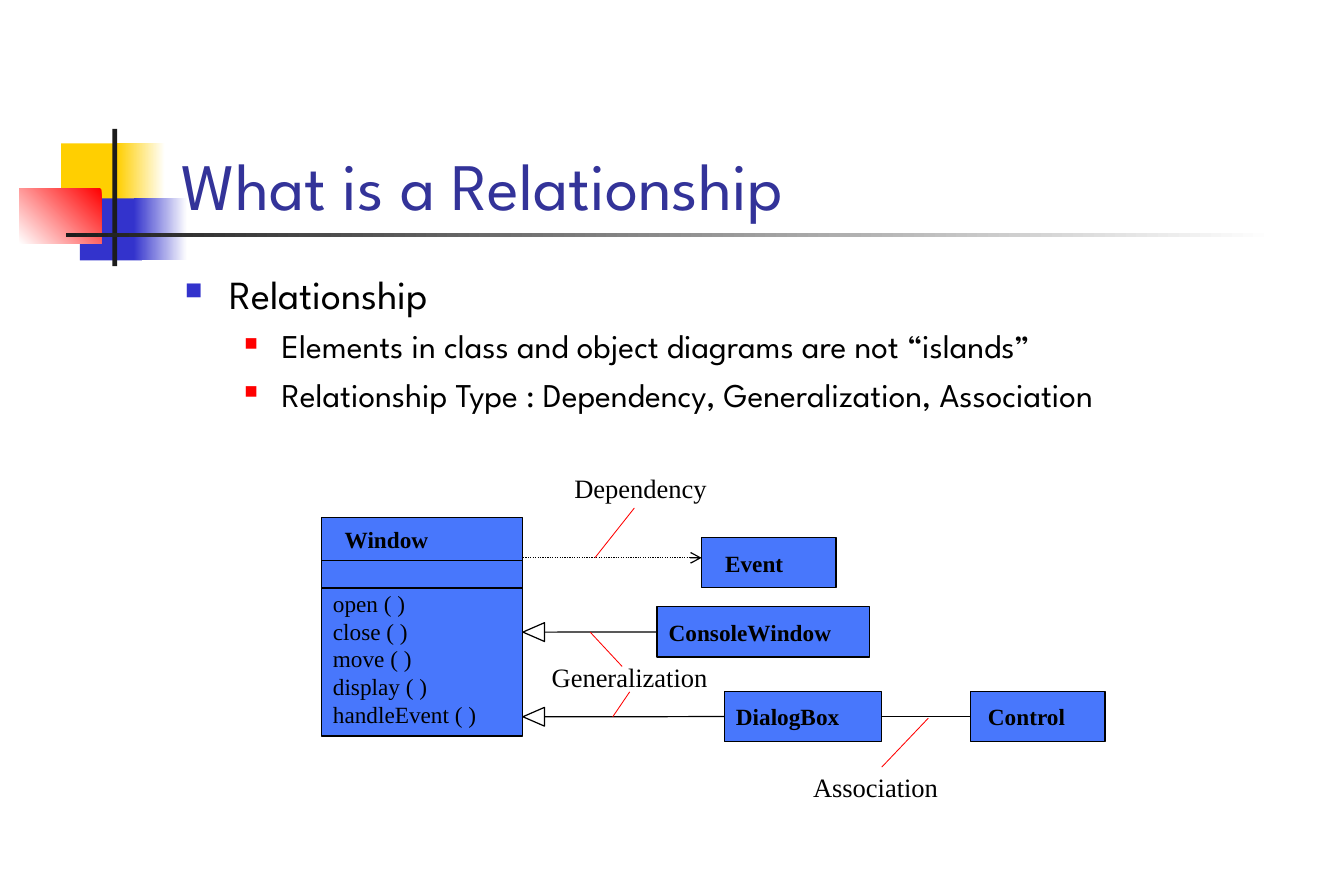
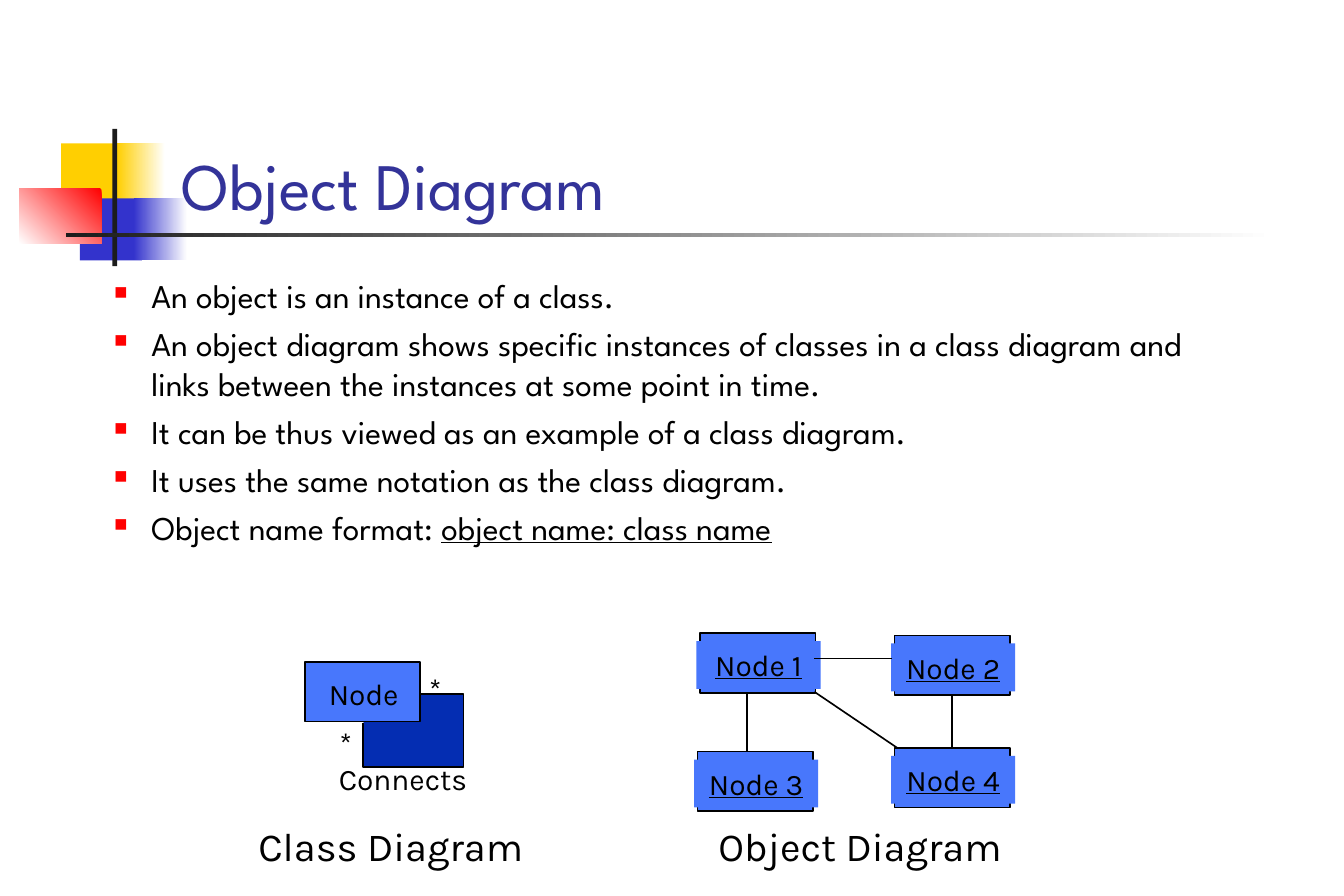
from lxml.etree import SubElement
from pptx import Presentation
from pptx.dml.color import RGBColor
from pptx.enum.dml import MSO_LINE
from pptx.enum.shapes import MSO_CONNECTOR, MSO_SHAPE
from pptx.enum.text import MSO_ANCHOR as Anchor, PP_ALIGN as Align
from pptx.oxml.ns import qn
from pptx.util import Cm, Pt

BLACK = RGBColor(0x00, 0x00, 0x00)
WHITE = RGBColor(0xFF, 0xFF, 0xFF)
RED = RGBColor(0xFF, 0x00, 0x00)
YELLOW = RGBColor(0xFF, 0xCF, 0x01)
BLUE = RGBColor(0x33, 0x33, 0xCC)
CHARCOAL = RGBColor(0x1C, 0x1C, 0x1C)
TITLE_BLUE = RGBColor(0x33, 0x33, 0x99)
BOX_BLUE = RGBColor(0x48, 0x77, 0xFC)
LINK_BLUE = RGBColor(0x04, 0x2D, 0xB2)

TITLE = {"name": "League Spartan", "size": Pt(40)}
CLASS_NAME = {"name": "Times New Roman", "size": Pt(14), "bold": True}
OPERATION = {"name": "Times New Roman", "size": Pt(14)}
UML_LABEL = {"name": "Times New Roman", "size": Pt(16)}
NODE = {"name": "Karla", "size": Pt(18)}
NODE_OBJECT = {**NODE, "underline": True}
CAPTION = {"name": "Karla", "size": Pt(24)}

# Per outline level: font, space before, left indent, hang, bullet colour and size
LEVELS = [
    ({"name": "League Spartan", "size": Pt(24)}, Pt(6), Cm(0.95), Cm(0.95), BLUE, 60),
    ({"name": "League Spartan", "size": Pt(20)}, Pt(5), Cm(2.06), Cm(0.79), RED, 55),
]

# Left, top, width, height, colour, colour it fades to, fade angle
DECORATION = [
    (1.3, 3.05, 1.37, 1.32, YELLOW, None, 0),
    (2.49, 3.05, 1.02, 1.32, YELLOW, WHITE, 0),
    (1.7, 4.22, 1.32, 1.32, BLUE, None, 0),
    (2.84, 4.22, 1.14, 1.32, BLUE, WHITE, 0),
    (0.41, 4.01, 1.75, 1.17, RED, WHITE, 225),
    (2.39, 2.74, 0.1, 2.92, CHARCOAL, None, 0),
    (1.4, 4.95, 25.7, 0.09, CHARCOAL, WHITE, 0),
]

# Title, body frame, and body lines as (level, text, underlined ending)
CONTENT = [
    ("What is a Relationship", (3.68, 5.61, 24.28, 11.43), [
        (0, "Relationship", ""),
        (1, "Elements in class and object diagrams are not “islands”", ""),
        (1, "Relationship Type : Dependency, Generalization, Association", ""),
    ]),
    ("Object Diagram", (0.91, 5.72, 25.81, 7.14), [
        (1, "An object is an instance of a class.", ""),
        (1, "An object diagram shows specific instances of classes in a class diagram and "
            "links between the instances at some point in time.", ""),
        (1, "It can be thus viewed as an example of a class diagram.", ""),
        (1, "It uses the same notation as the class diagram.", ""),
        (1, "Object name format: ", "object name: class name"),
    ]),
]


def add_box(shapes, frame, lines=(), fill=None, outline=None, align=Align.CENTER,
            anchor=Anchor.MIDDLE):
    """Add a filled rectangle or a text box; lines are (text, font values, colour)."""
    place = [Cm(length) for length in frame]
    if fill is None:
        box = shapes.add_textbox(*place)
    else:
        box = shapes.add_shape(MSO_SHAPE.RECTANGLE, *place)
        box.shadow.inherit = False
        box.fill.solid()
        box.fill.fore_color.rgb = fill
        if outline is None:
            box.line.fill.background()
        else:
            box.line.color.rgb = BLACK
            box.line.width = outline
    box.text_frame.word_wrap = align == Align.LEFT
    box.text_frame.vertical_anchor = anchor
    for index, (text, style, color) in enumerate(lines):
        paragraph = box.text_frame.add_paragraph() if index else box.text_frame.paragraphs[0]
        paragraph.alignment = align
        run = paragraph.add_run()
        run.text = text
        run.font.color.rgb = color
        for key, value in style.items():
            setattr(run.font, key, value)
    return box


def add_line(slide, start, end, color=BLACK, width=Pt(0.75)):
    """Add a line; each end is a point in cm or a (shape, side) pair."""
    points = [(0, 0) if hasattr(spot[0], "shape_id") else spot for spot in (start, end)]
    line = slide.shapes.add_connector(
        MSO_CONNECTOR.STRAIGHT, *[Cm(length) for point in points for length in point])
    for spot, connect in ((start, line.begin_connect), (end, line.end_connect)):
        if hasattr(spot[0], "shape_id"):
            connect(*spot)
    line.line.color.rgb = color
    line.line.width = width
    SubElement(line._element.spPr, qn("a:effectLst"))
    return line


prs = Presentation()
prs.slide_width, prs.slide_height = Cm(28.58), Cm(19.05)

# Shared decoration, title and bulleted body
slides = []
for title, body_frame, body_lines in CONTENT:
    slide = prs.slides.add_slide(prs.slide_layouts[6])
    slides.append(slide)
    for *frame, color, fade, angle in DECORATION:
        block = add_box(slide.shapes, frame, fill=color)
        if fade is not None:
            block.fill.gradient()
            block.fill.gradient_angle = angle
            for stop, shade in zip(block.fill.gradient_stops, (color, fade)):
                stop.color.rgb = shade
    add_box(slide.shapes, (3.61, 1.7, 24.36, 3.18), [(title, TITLE, TITLE_BLUE)],
            align=Align.LEFT, anchor=Anchor.BOTTOM)

    body = add_box(slide.shapes, body_frame,
                   [(text, LEVELS[level][0], BLACK) for level, text, _ in body_lines],
                   align=Align.LEFT, anchor=Anchor.TOP)
    for index, (level, _, ending) in enumerate(body_lines):
        style, space, indent, hang, bullet_color, bullet_size = LEVELS[level]
        paragraph = body.text_frame.paragraphs[index]
        paragraph.level = level
        paragraph.space_before = space if index else Pt(0)
        props = paragraph._p.get_or_add_pPr()
        props.set("marL", str(indent))
        props.set("indent", str(-hang))
        SubElement(SubElement(props, qn("a:buClr")), qn("a:srgbClr"), val=str(bullet_color))
        SubElement(props, qn("a:buSzPct"), val=str(bullet_size * 1000))
        SubElement(props, qn("a:buChar"), char="■")
        if ending:
            run = paragraph.add_run()
            run.text = ending
            run.font.color.rgb = BLACK
            for key, value in {**style, "underline": True}.items():
                setattr(run.font, key, value)

relationship, object_diagram = slides

# Window class with its compartments
WINDOW_LEFT, WINDOW_RIGHT = 6.83, 11.12
operations = ["open ( )", "close ( )", "move ( )", "display ( )", "handleEvent ( )"]
window = add_box(relationship.shapes, (WINDOW_LEFT, 11, WINDOW_RIGHT - WINDOW_LEFT, 4.65),
                 [("Window", CLASS_NAME, BLACK)]
                 + [(operation, OPERATION, BLACK) for operation in operations],
                 BOX_BLUE, Pt(0.75), Align.LEFT)
window_name = window.text_frame.paragraphs[0]
window_name.space_after = Pt(21.7)
window_name._p.get_or_add_pPr().set("marL", str(Cm(0.25)))
for y in (11.91, 12.5):
    add_line(relationship, (WINDOW_LEFT, y), (WINDOW_RIGHT, y))

# Related classes: name, left, top, width, extra indent
classes = {}
for name, left, top, width, indent in [
    ("Event", 14.92, 11.43, 2.86, 0.25),
    ("ConsoleWindow", 13.97, 12.9, 4.52, 0),
    ("DialogBox", 15.4, 14.7, 3.34, 0),
    ("Control", 20.64, 14.7, 2.86, 0.12),
]:
    classes[name] = add_box(relationship.shapes, (left, top, width, 1.07),
                            [(name, CLASS_NAME, BLACK)], BOX_BLUE, Pt(0.75), Align.LEFT)
    classes[name].text_frame.margin_left = Cm(0.25 + indent)

# Dependency, association and generalization lines
dependency = add_line(relationship, (WINDOW_RIGHT, 11.86), (14.92, 11.86))
dependency.line.dash_style = MSO_LINE.ROUND_DOT
SubElement(dependency.line._get_or_add_ln(), qn("a:tailEnd"), type="arrow")
add_line(relationship, (classes["DialogBox"], 3), (classes["Control"], 1))

ARROW_BASE = 11.58
for name, y in (("ConsoleWindow", 13.44), ("DialogBox", 15.24)):
    add_line(relationship, (ARROW_BASE, y), (classes[name], 1))
    outline = relationship.shapes.build_freeform(Cm(WINDOW_RIGHT), Cm(y))
    outline.add_line_segments([(Cm(ARROW_BASE), Cm(y - 0.2)), (Cm(ARROW_BASE), Cm(y + 0.2))])
    arrowhead = outline.convert_to_shape()
    arrowhead.shadow.inherit = False
    arrowhead.fill.solid()
    arrowhead.fill.fore_color.rgb = WHITE
    arrowhead.line.color.rgb = BLACK
    arrowhead.line.width = Pt(0.75)

# Names of the relationships and their red pointers
for text, left, top in [("Association", 16.37, 16.31), ("Generalization", 11.14, 13.97),
                        ("Dependency", 11.37, 9.96)]:
    add_box(relationship.shapes, (left, top, 4.5, 0.84), [(text, UML_LABEL, BLACK)])
for start, end in [((12.65, 11.86), (13.49, 10.8)), ((12.55, 13.44), (13.23, 14.17)),
                   ((13.03, 15.24), (13.39, 14.71)), ((19.74, 15.27), (18.75, 16.31))]:
    add_line(relationship, start, end, RED, Pt(0.5))

# Self-association of the Node class
loop_path = object_diagram.shapes.build_freeform(Cm(7.72), Cm(15.37))
loop_path.add_line_segments(
    [(Cm(x), Cm(y)) for x, y in [(7.72, 16.31), (9.86, 16.31), (9.86, 14.76), (8.94, 14.76)]],
    close=False)
self_link = loop_path.convert_to_shape()
self_link.shadow.inherit = False
self_link.fill.solid()
self_link.fill.fore_color.rgb = LINK_BLUE
self_link.line.color.rgb = BLACK
self_link.line.width = Pt(1)

# Multiplicities, association name and diagram captions
for text, style, *frame in [
    ("*", NODE, 6.96, 15.27, 0.79, 1.02),
    ("*", NODE, 8.86, 14.12, 0.79, 1.02),
    ("Connects", NODE, 6.93, 16.05, 3.28, 1.02),
    ("Class Diagram", CAPTION, 5.21, 17.35, 6.2, 1.27),
    ("Object Diagram", CAPTION, 14.91, 17.35, 6.76, 1.27),
]:
    add_box(object_diagram.shapes, frame, [(text, style, BLACK)])

# Nodes: an outlined box grouped with its name plate
nodes = {}
for name, style, left, top, plate_shift, plate_width in [
    ("Node", NODE, 6.48, 14.07, 0.2, 2.11),
    ("Node 1", NODE_OBJECT, 14.88, 13.46, -0.07, 2.64),
    ("Node 2", NODE_OBJECT, 19.02, 13.51, -0.07, 2.64),
    ("Node 3", NODE_OBJECT, 14.83, 15.98, -0.07, 2.64),
    ("Node 4", NODE_OBJECT, 19.02, 15.9, -0.07, 2.64),
]:
    group = object_diagram.shapes.add_group_shape()
    nodes[name] = add_box(group.shapes, (left, top, 2.46, 1.27), fill=BOX_BLUE, outline=Pt(1))
    add_box(group.shapes, (left + plate_shift, top + 0.17, plate_width, 1.02),
            [(name, style, BLACK)], BOX_BLUE)

# Links between the node objects
for start, end in [
    ((15.88, 14.76), (15.88, 15.98)),
    ((17.32, 14.71), (19.08, 15.9)),
    ((17.32, 14), (18.97, 14)),
    ((nodes["Node 2"], 2), (nodes["Node 4"], 0)),
]:
    add_line(object_diagram, start, end, width=Pt(1))

prs.save("out.pptx")
